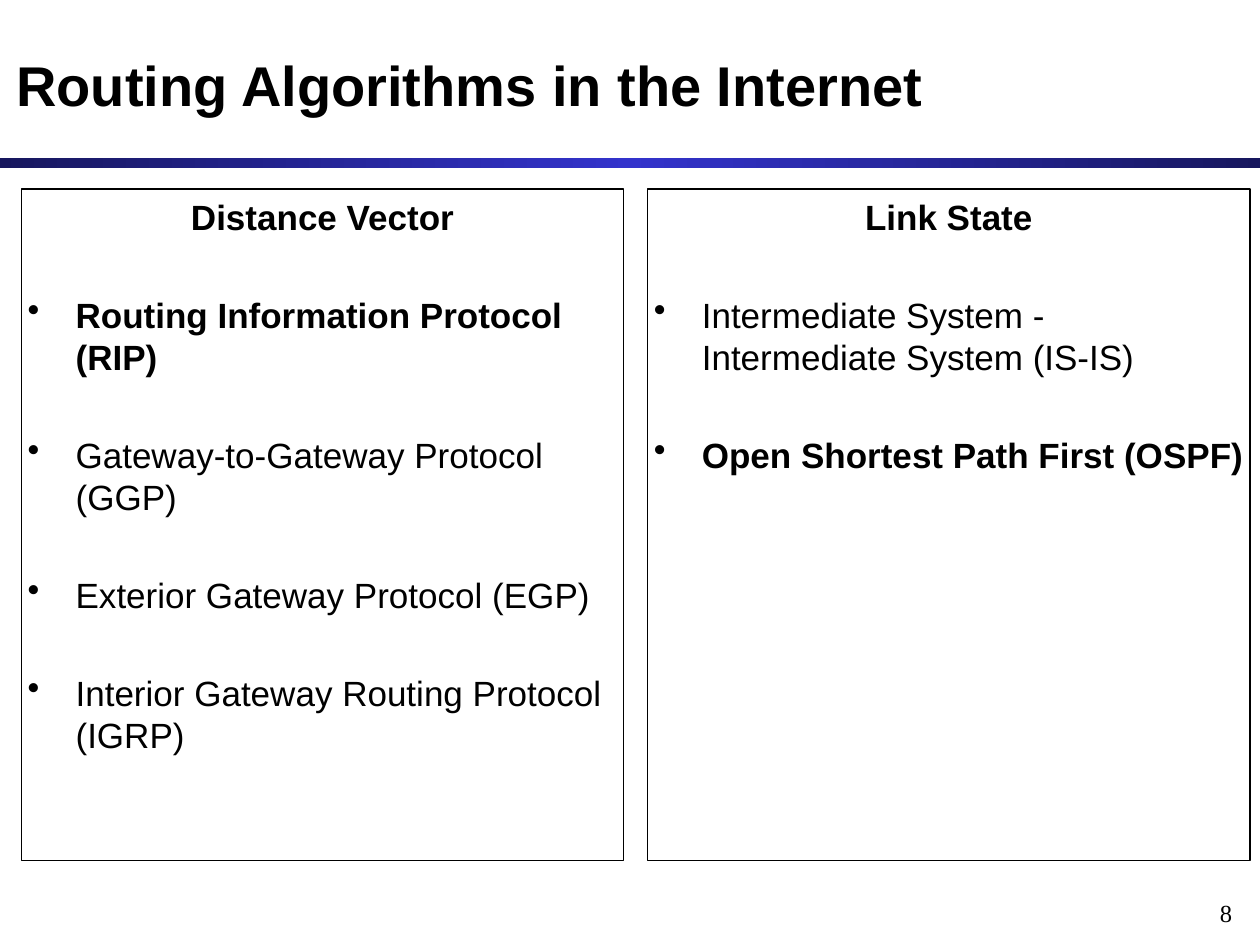
import copy

import pptx
import pptx.dml.color
import pptx.enum.shapes
import pptx.enum.text
import pptx.oxml
import pptx.oxml.ns
import pptx.util

Inches = pptx.util.Inches
Pt = pptx.util.Pt
ALIGN = pptx.enum.text.PP_ALIGN
ANCHOR = pptx.enum.text.MSO_ANCHOR
RECTANGLE = pptx.enum.shapes.MSO_SHAPE.RECTANGLE

BLACK, NAVY, BLUE = "000000", "17175E", "3333CC"
INDENT = Inches(0.38)
COLUMNS = [
    ("Distance Vector", [
        ("Routing Information Protocol (RIP)", True),
        ("Gateway-to-Gateway Protocol (GGP)", False),
        ("Exterior Gateway Protocol (EGP)", False),
        ("Interior Gateway Routing Protocol (IGRP)", False),
    ]),
    ("Link State", [
        ("Intermediate System - Intermediate System (IS-IS)", False),
        ("Open Shortest Path First (OSPF)", True),
    ]),
]


def color(value):
    """Return the RGB colour of a hex string."""
    return pptx.dml.color.RGBColor.from_string(value)


def place(sp, left, top, width, height):
    """Set the position and size of a shape in inches."""
    sp.left, sp.top = Inches(left), Inches(top)
    sp.width, sp.height = Inches(width), Inches(height)


def set_frame(tf, anchor, wrap=True):
    """Set the margins, anchor and wrapping of a text frame."""
    tf.margin_left = tf.margin_right = Inches(0.05)
    tf.margin_top = tf.margin_bottom = Inches(0.05)
    tf.vertical_anchor = anchor
    tf.word_wrap = wrap


def write(p, text, size, bold=False, align=ALIGN.LEFT, font="Arial"):
    """Write text into a paragraph and format it."""
    p.text = text
    p.alignment = align
    p.font.name = font
    p.font.size = Pt(size)
    p.font.bold = bold
    p.font.color.rgb = color(BLACK)


def add_bullet(p):
    """Give a paragraph a hanging bullet."""
    pPr = p._p.get_or_add_pPr()
    pPr.set("marL", str(INDENT))
    pPr.set("indent", str(-INDENT))
    bullet = pptx.oxml.parse_xml(
        f'<a:buChar {pptx.oxml.ns.nsdecls("a")} char="•"/>')
    pPr.insert_element_before(bullet, "a:tabLst", "a:defRPr", "a:extLst")


def add_title(s, text):
    """Fill and place the title placeholder."""
    sp = s.shapes.title
    place(sp, 0.08, 0.17, 9.83, 1)
    set_frame(sp.text_frame, ANCHOR.MIDDLE)
    write(sp.text_frame.paragraphs[0], text, 32, bold=True)


def add_rule(s):
    """Add the gradient band below the title."""
    sp = s.shapes.add_shape(
        RECTANGLE, Inches(0), Inches(1.25), Inches(10), Inches(0.08))
    sp.shadow.inherit = False
    sp.line.fill.background()
    sp.fill.gradient()
    sp.fill.gradient_angle = 0
    first = sp._element.xpath(".//a:gs")[0]
    first.addnext(copy.deepcopy(first))
    stops = zip(sp.fill.gradient_stops, (0, 0.5, 1), (NAVY, BLUE, NAVY))
    for stop, position, value in stops:
        stop.position = position
        stop.color.rgb = color(value)


def add_column(s, left, heading, items):
    """Add a framed column with a heading and bulleted items."""
    sp = s.shapes.add_shape(
        RECTANGLE, Inches(left), Inches(1.5), Inches(4.78), Inches(5.33))
    sp.shadow.inherit = False
    sp.fill.background()
    sp.line.color.rgb = color(BLACK)
    sp.line.width = Pt(0.75)
    tf = sp.text_frame
    set_frame(tf, ANCHOR.TOP)
    p = tf.paragraphs[0]
    write(p, heading, 20, bold=True, align=ALIGN.CENTER)
    p.space_before = Pt(4)
    p.line_spacing = Pt(24)
    for text, bold in items:
        p = tf.add_paragraph()
        write(p, text, 20, bold)
        p.space_before = Pt(32)
        p.line_spacing = Pt(24)
        add_bullet(p)


def add_page_number(s, text):
    """Add the page number at the lower right."""
    sp = s.shapes.add_textbox(
        Inches(9.62), Inches(7.08), Inches(0.21), Inches(0.31))
    set_frame(sp.text_frame, ANCHOR.TOP, wrap=False)
    write(sp.text_frame.paragraphs[0], text, 14,
          align=ALIGN.RIGHT, font="Times New Roman")


def main():
    """Build the slide and save it."""
    prs = pptx.Presentation()
    prs.slide_width, prs.slide_height = Inches(10), Inches(7.5)
    s = prs.slides.add_slide(prs.slide_layouts.get_by_name("Title Only"))
    add_rule(s)
    add_page_number(s, "8")
    add_title(s, "Routing Algorithms in the Internet")
    for i, (heading, items) in enumerate(COLUMNS):
        add_column(s, 0.17 + i * 4.97, heading, items)
    prs.save("out.pptx")


if __name__ == "__main__":
    main()
